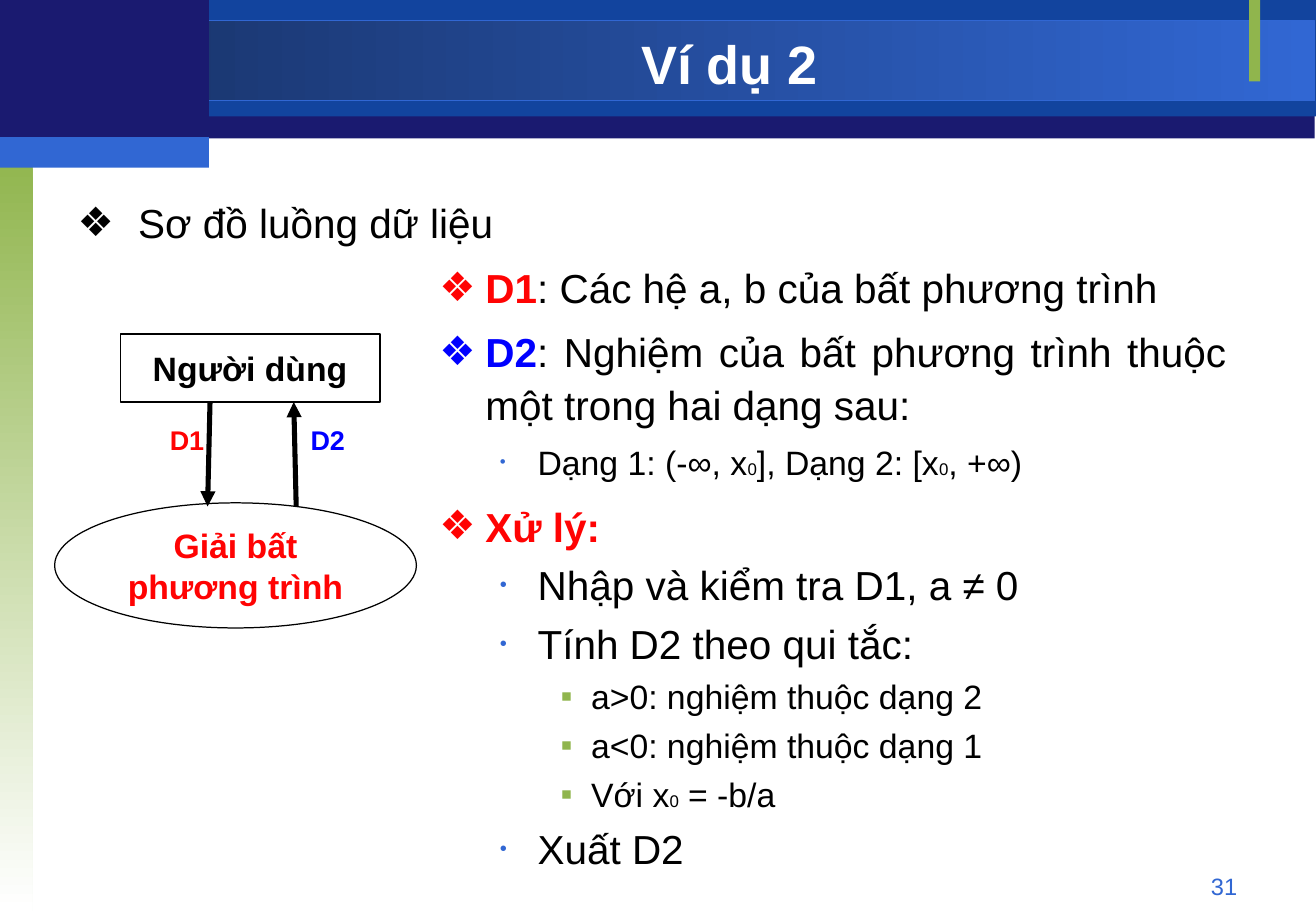
from lxml import etree
from pptx import Presentation
from pptx.dml.color import RGBColor
from pptx.enum.shapes import MSO_CONNECTOR, MSO_SHAPE
from pptx.enum.text import MSO_ANCHOR, PP_ALIGN
from pptx.oxml.ns import qn
from pptx.util import Inches, Pt

RECT, OVAL = MSO_SHAPE.RECTANGLE, MSO_SHAPE.OVAL
STRAIGHT = MSO_CONNECTOR.STRAIGHT
TOP, MIDDLE = MSO_ANCHOR.TOP, MSO_ANCHOR.MIDDLE
LEFT, CENTER, RIGHT, JUSTIFY = PP_ALIGN.LEFT, PP_ALIGN.CENTER, PP_ALIGN.RIGHT, PP_ALIGN.JUSTIFY
TITLE_ONLY = 5

NAVY, ROYAL, SKY, DUSK = "1A1A70", "12449E", "3167D3", "173062"
GREEN, WHITE, BLACK, RED, BLUE = "90B54D", "FFFFFF", "000000", "FF0303", "0000FF"

# Outline levels: bullet, bullet colour, bullet size %, left margin, hanging indent
LEVELS = [
    ("❖", RED, 100, 0.38, 0.38),
    ("•", SKY, 50, 0.81, 0.31),
    ("▪", GREEN, 100, 1.25, 0.25),
]


def rgb(hex_colour):
    return RGBColor.from_string(hex_colour)


class SlideBuilder:
    font = "Arial"

    def __init__(self, slide):
        self.slide = slide
        self.shapes = slide.shapes

    def style_run(self, run, size, colour=BLACK, bold=False):
        run.font.name = self.font
        run.font.size = Pt(size)
        run.font.bold = bold
        run.font.color.rgb = rgb(colour)

    def fill_text(self, shape, text, size, colour, bold, align, anchor, wrap):
        frame = shape.text_frame
        frame.text = text
        frame.word_wrap = wrap
        frame.vertical_anchor = anchor
        for paragraph in frame.paragraphs:
            paragraph.alignment = align
            for run in paragraph.runs:
                self.style_run(run, size, colour, bold)

    def shape(self, kind, box, fill=None, line=None, angle=0):
        """A fill is None, one colour, or a pair of colours for a gradient."""
        shape = self.shapes.add_shape(kind, *map(Inches, box))
        shape.shadow.inherit = False
        if fill is None:
            shape.fill.background()
        elif isinstance(fill, tuple):
            shape.fill.gradient()
            shape.fill.gradient_angle = angle
            for stop, colour in zip(shape.fill.gradient_stops, fill):
                stop.color.rgb = rgb(colour)
        else:
            shape.fill.solid()
            shape.fill.fore_color.rgb = rgb(fill)
        if line:
            shape.line.color.rgb = rgb(line)
            shape.line.width = Pt(0.75)
        else:
            shape.line.fill.background()
        return shape

    def node(self, kind, box, text, colour):
        node = self.shape(kind, box, line=BLACK)
        self.fill_text(node, text, 20, colour, True, CENTER, MIDDLE, False)

    def label(self, box, text, size, colour, bold=False, align=LEFT, wrap=False):
        label = self.shapes.add_textbox(*map(Inches, box))
        self.fill_text(label, text, size, colour, bold, align, TOP, wrap)

    def title(self, box, text):
        title = self.shapes.title
        title.left, title.top, title.width, title.height = map(Inches, box)
        self.fill_text(title, text, 32, WHITE, True, CENTER, MIDDLE, True)
        # Bring the title in front of the header bands
        self.shapes._spTree.append(title._element)

    def arrow(self, start, end):
        arrow = self.shapes.add_connector(STRAIGHT, *map(Inches, start + end))
        arrow.line.color.rgb = rgb(BLACK)
        arrow.line.width = Pt(3)
        etree.SubElement(arrow.line._get_or_add_ln(), qn("a:tailEnd"), type="triangle")
        etree.SubElement(arrow._element.spPr, qn("a:effectLst"))

    def bullet(self, paragraph, char, colour, percent, margin, hanging):
        props = paragraph._p.get_or_add_pPr()
        props.set("marL", str(Inches(margin)))
        props.set("indent", str(-Inches(hanging)))
        bullet_colour = etree.SubElement(props, qn("a:buClr"))
        etree.SubElement(bullet_colour, qn("a:srgbClr"), val=colour)
        etree.SubElement(props, qn("a:buSzPct"), val=str(percent * 1000))
        etree.SubElement(props, qn("a:buFont"), typeface=self.font)
        etree.SubElement(props, qn("a:buChar"), char=char)

    def outline(self, box, items, spacing=1.0):
        """Each item: level, space before, runs, and changes to the level's bullet."""
        frame = self.shapes.add_textbox(*map(Inches, box)).text_frame
        frame.word_wrap = True
        for index, (level, before, runs, *custom) in enumerate(items):
            paragraph = frame.add_paragraph() if index else frame.paragraphs[0]
            paragraph.level = level
            paragraph.alignment = JUSTIFY
            char, colour, percent, margin, hanging = LEVELS[level]
            if custom:
                colour, margin, hanging = custom
            self.bullet(paragraph, char, colour, percent, margin, hanging)
            paragraph.line_spacing = spacing
            if index:
                paragraph.space_before = Pt(before)
            for text, *style in runs:
                run = paragraph.add_run()
                run.text = text
                self.style_run(run, *style)


def main():
    deck = Presentation()
    deck.slide_width, deck.slide_height = Inches(10.84), Inches(7.5)
    page = SlideBuilder(deck.slides.add_slide(deck.slide_layouts[TITLE_ONLY]))

    # Header bands and side strip
    page.shape(RECT, (0, 0.01, 10.83, 1.13), NAVY)
    page.shape(RECT, (1.72, 0, 9.12, 0.96), ROYAL)
    page.shape(RECT, (0, 0.17, 10.83, 0.66), (DUSK, SKY), line=SKY)
    page.shape(RECT, (0, 1.25, 0.27, 6.25), (GREEN, WHITE), angle=270)
    page.shape(RECT, (10.29, 0, 0.09, 0.67), GREEN)
    page.shape(RECT, (0, 0, 1.72, 1.17), NAVY)
    page.shape(RECT, (0, 1.13, 1.72, 0.25), SKY)

    # Title and page number
    page.title((1.72, 0.23, 8.58, 0.58), "Ví dụ 2")
    page.label((7.76, 7.13, 2.53, 0.27), "31", 14, SKY, align=RIGHT, wrap=True)

    # Section heading
    page.outline((0.54, 1.5, 8.31, 0.67),
                 [(0, 0, [("Sơ đồ luồng dữ liệu", 24)], BLACK, 0.5, 0.5)], 1.2)

    # Data flow diagram
    page.node(RECT, (0.99, 2.75, 2.14, 0.56), "Người dùng", BLACK)
    page.node(OVAL, (0.45, 4.14, 2.98, 1.03), "Giải bất\nphương trình", RED)
    page.arrow((1.73, 3.31), (1.71, 4.17))
    page.arrow((2.44, 4.17), (2.42, 3.31))
    page.label((1.3, 3.44, 0.48, 0.37), "D1", 16, RED, bold=True)
    page.label((2.46, 3.44, 0.48, 0.37), "D2", 16, BLUE, bold=True)

    # Data descriptions
    page.outline((3.52, 2.08, 6.68, 2.08), [
        (0, 0, [("D1", 24, RED, True), (": Các hệ a, b của bất phương trình", 24)]),
        (0, 6, [("D2", 24, BLUE, True),
                (": Nghiệm của bất phương trình thuộc một trong hai dạng sau:", 24)],
         BLUE, 0.38, 0.38),
        (1, 5, [("Dạng 1: (-∞, x", 20), ("0", 10), ("], Dạng 2: [x", 20),
                ("0", 10), (", +∞)", 20)]),
    ], 1.1)

    # Processing steps
    page.outline((3.52, 4.08, 6.95, 3.17), [
        (0, 0, [("Xử lý:", 24, RED, True)]),
        (1, 6, [("Nhập và kiểm tra D1, a ≠ 0", 24)]),
        (1, 6, [("Tính D2 theo qui tắc:", 24)]),
        (2, 5, [("a>0: nghiệm thuộc dạng 2", 20)]),
        (2, 5, [("a<0: nghiệm thuộc dạng 1", 20)]),
        (2, 5, [("Với x", 20), ("0", 10), (" = -b/a", 20)]),
        (1, 6, [("Xuất D2", 24)]),
    ])

    deck.save("out.pptx")


if __name__ == "__main__":
    main()
